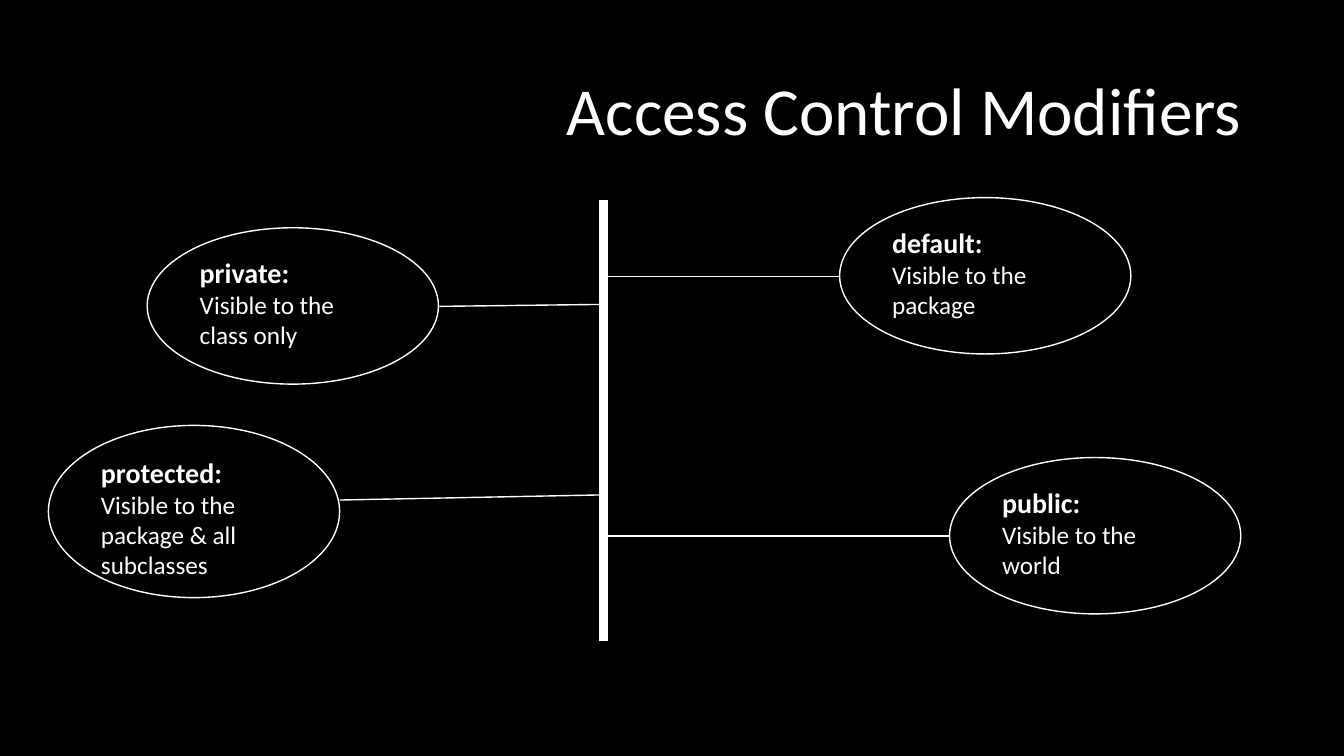
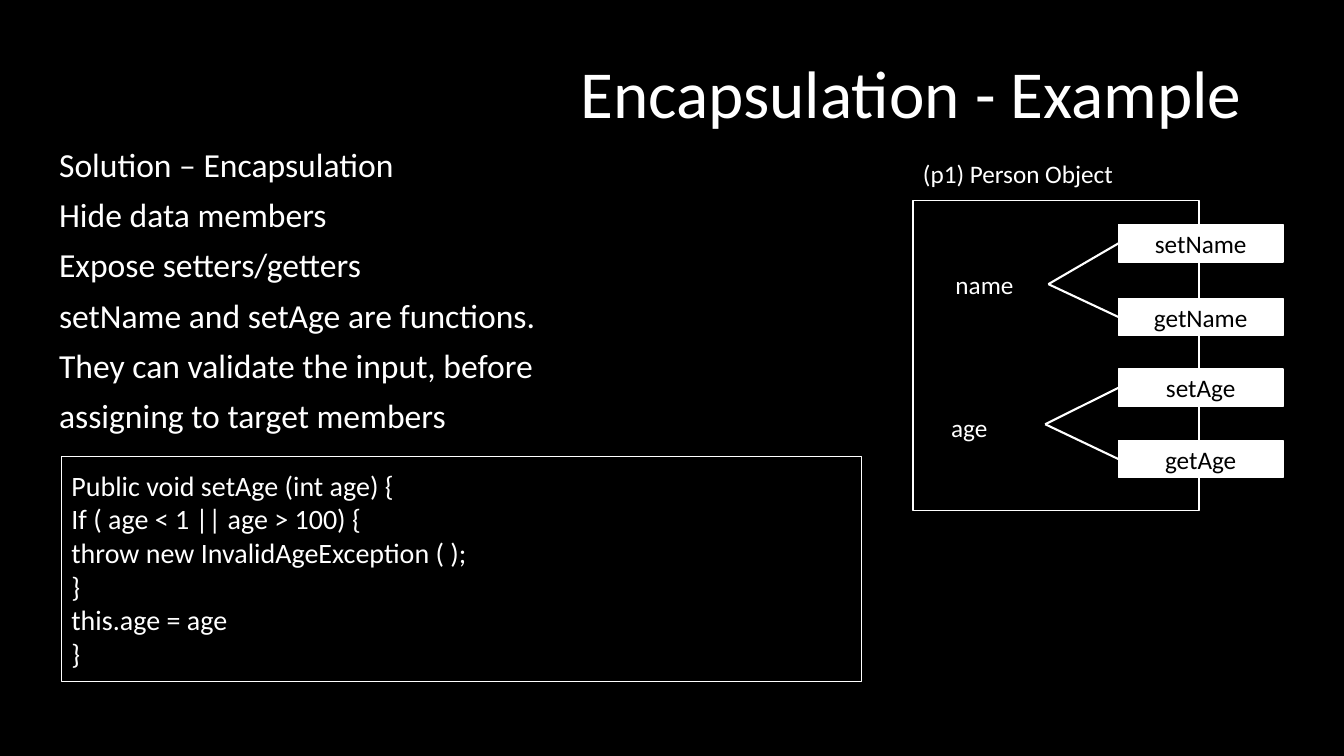
from pptx import Presentation
from pptx.dml.color import RGBColor
from pptx.enum.shapes import MSO_CONNECTOR, MSO_SHAPE
from pptx.enum.text import MSO_ANCHOR, PP_ALIGN
from pptx.oxml.ns import qn
from pptx.util import Cm, Pt
from lxml.etree import SubElement

BLACK, WHITE = "000000", "FFFFFF"


def rgb(code):
    """Turn a hex string into a colour."""
    return RGBColor.from_string(code)


class Deck:
    """Hold the shared style and the current slide."""

    font = "Calibri"

    def __init__(self):
        """Start a wide deck on a black ground."""
        self.prs = Presentation()
        self.prs.slide_width, self.prs.slide_height = Cm(33.87), Cm(19.05)
        self.paint(self.prs.slide_master.background, BLACK)
        self.slide = None

    def paint(self, item, color):
        """Fill an item with a solid colour, or leave it clear."""
        if color:
            item.fill.solid()
            item.fill.fore_color.rgb = rgb(color)
        else:
            item.fill.background()

    def label(self, shape, paras, color=WHITE, align=PP_ALIGN.LEFT,
              anchor=MSO_ANCHOR.MIDDLE, space=0, lead=1.0):
        """Set paragraphs given as text, size and weight."""
        frame = shape.text_frame
        frame.word_wrap = True
        frame.vertical_anchor = anchor
        for num, (text, size, bold) in enumerate(paras):
            para = frame.add_paragraph() if num else frame.paragraphs[0]
            para.alignment = align
            para.line_spacing = lead
            para.space_before = Pt(space if num else 0)
            run = para.add_run()
            run.text = text
            run.font.name = self.font
            run.font.size = Pt(size)
            run.font.bold = bold
            run.font.color.rgb = rgb(color)

    def page(self, title, left, top, width, height):
        """Add a slide with its title."""
        self.slide = self.prs.slides.add_slide(self.prs.slide_layouts[5])
        head = self.slide.shapes.title
        head.left, head.top = Cm(left), Cm(top)
        head.width, head.height = Cm(width), Cm(height)
        self.paint(head, BLACK)
        self.label(head, [(title, 48, False)], align=PP_ALIGN.RIGHT, lead=0.9)

    def shape(self, kind, left, top, width, height, fill=None):
        """Add a shape with a thin white outline."""
        item = self.slide.shapes.add_shape(
            kind, Cm(left), Cm(top), Cm(width), Cm(height))
        item.shadow.inherit = False
        self.paint(item, fill)
        item.line.color.rgb = rgb(WHITE)
        item.line.width = Pt(1)
        return item

    def oval(self, name, note, left, top, height=3.94):
        """Add an oval with a bold name and a note."""
        item = self.shape(MSO_SHAPE.OVAL, left, top, 7.34, height, BLACK)
        self.label(item, [(name, 20, True), (note, 18, False)],
                   anchor=MSO_ANCHOR.TOP)

    def box(self, lines, size, left, top, width, height, fill=None,
            color=WHITE, align=PP_ALIGN.LEFT):
        """Add an outlined box with lines of text."""
        item = self.shape(MSO_SHAPE.RECTANGLE, left, top, width, height, fill)
        self.label(item, [(line, size, False) for line in lines], color, align)
        return item

    def text(self, lines, size, left, top, width, height, **style):
        """Add plain lines of text."""
        item = self.slide.shapes.add_textbox(
            Cm(left), Cm(top), Cm(width), Cm(height))
        self.label(item, [(line, size, False) for line in lines], **style)

    def line(self, start, end, width=1.0):
        """Draw a white line between two points."""
        item = self.slide.shapes.add_connector(
            MSO_CONNECTOR.STRAIGHT, *map(Cm, start + end))
        item.line.color.rgb = rgb(WHITE)
        item.line.width = Pt(width)
        SubElement(item._element.spPr, qn("a:effectLst"))
        return item

    def fork(self, start, boxes):
        """Draw a line from a point to the left side of each box."""
        for box in boxes:
            self.line(start, start, 1.5).end_connect(box, 1)


def access(deck):
    """Build the slide on access modifiers."""
    deck.page("Access Control Modifiers", 2.34, 1.02, 29.21, 3.68)
    axis = 15.21
    deck.line((axis, 5.05), (axis, 16.15), 6)
    deck.oval("default:", "Visible to the package", 21.16, 4.98)
    deck.oval("public:", "Visible to the world", 23.93, 11.53)
    deck.oval("private:", "Visible to the class only", 3.71, 5.74)
    deck.oval("protected:", "Visible to the package & all subclasses",
              1.22, 10.72, 4.34)
    for left, top, end in [(21.16, 6.96, 6.96), (23.93, 13.51, 13.51),
                           (8.56, 12.6, 12.47), (11.07, 7.72, 7.67)]:
        deck.line((left, top), (axis, end))


def example(deck):
    """Build the slide with the encapsulation example."""
    deck.page("Encapsulation - Example", 1.55, 1.27, 30, 2.34)
    deck.text(["Solution – Encapsulation",
               "Hide data members",
               "Expose setters/getters",
               "setName and setAge are functions.",
               "They can validate the input, before",
               "assigning to target members"],
              24, 1.24, 3.61, 31.52, 7.6,
              anchor=MSO_ANCHOR.TOP, space=10, lead=0.9)
    deck.shape(MSO_SHAPE.RECTANGLE, 23.01, 5.05, 7.21, 7.82)
    deck.text(["(p1) Person Object"], 18, 23.01, 3.94, 6.12, 0.86)
    deck.text(["name"], 18, 23.83, 6.76, 2.62, 0.84)
    deck.text(["age"], 18, 23.72, 10.36, 2.62, 0.84)
    calls = [("setName", 5.66), ("getName", 7.52),
             ("setAge", 9.3), ("getAge", 11.1)]
    boxes = [deck.box([name], 18, 28.19, top, 4.14, 0.94,
                      WHITE, BLACK, PP_ALIGN.CENTER) for name, top in calls]
    deck.fork((26.42, 7.16), boxes[:2])
    deck.fork((26.34, 10.69), boxes[2:])
    deck.box(["Public void setAge (int age) {",
              "If ( age < 1 || age > 100) {",
              "throw new InvalidAgeException ( );",
              "}",
              "this.age = age",
              "}"], 20, 1.55, 11.51, 20.17, 5.66)


def main():
    """Build and save the deck."""
    deck = Deck()
    access(deck)
    example(deck)
    deck.prs.save("out.pptx")


if __name__ == "__main__":
    main()
